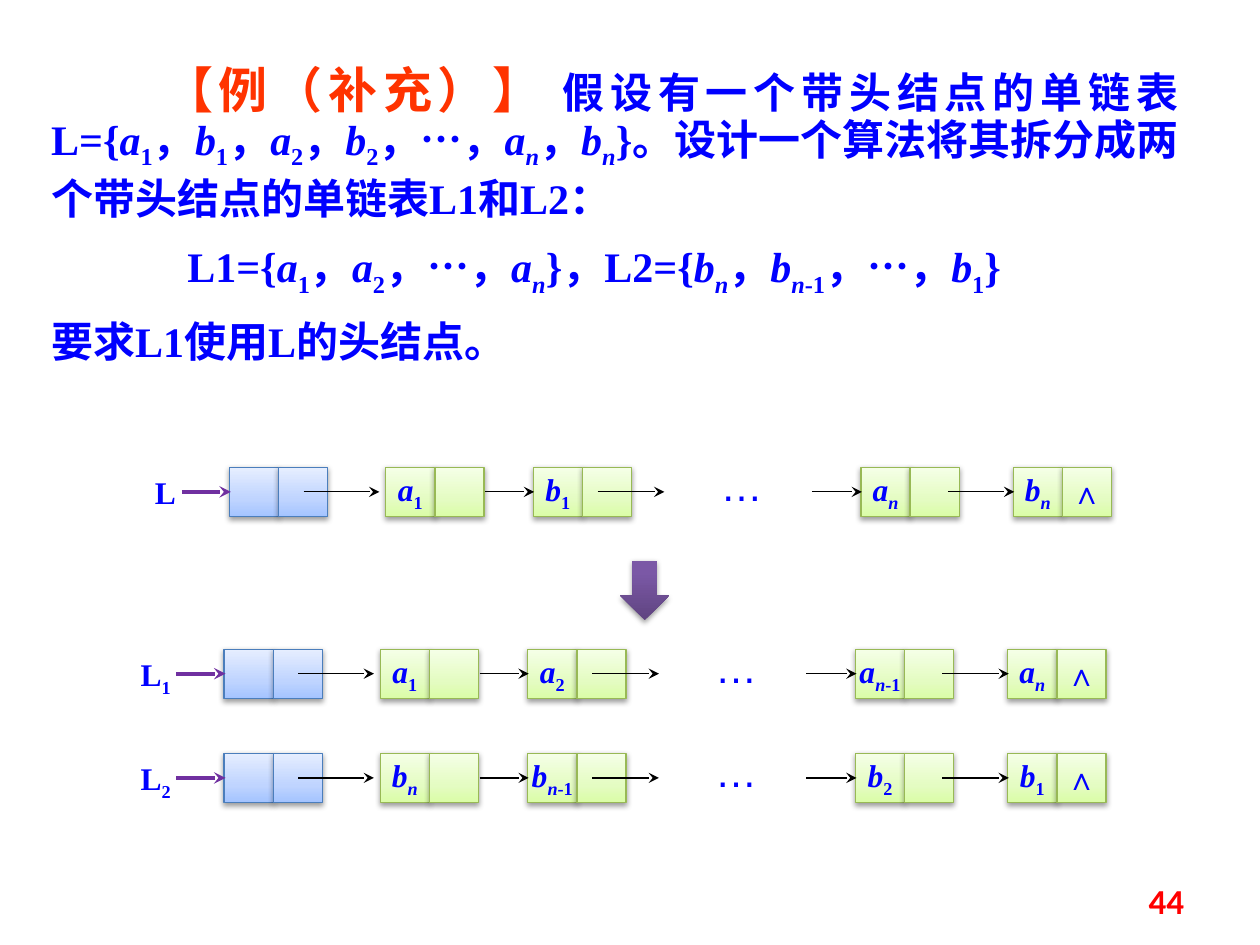
import lxml.etree
import pptx
import pptx.dml.color
import pptx.enum.shapes
import pptx.enum.text
import pptx.oxml.ns
import pptx.util

SHAPE = pptx.enum.shapes.MSO_SHAPE
ALIGN = pptx.enum.text.PP_ALIGN
ANCHOR = pptx.enum.text.MSO_ANCHOR
qn = pptx.oxml.ns.qn

THEME = {
    "serif": "Times New Roman", "cjk": "Noto Sans CJK SC",
    "sans": "Arial", "number": "Calibri",
    "title_size": 28, "body_size": 24, "node_size": 18, "number_size": 20,
    "title": "FF3300", "text": "0000FF", "page": "FF0000",
    "pointer": "7030A0", "link": "000000",
    "head": {"stops": [(0, "A4C4FF"), (35, "BFD4FF"), (100, "E6EEFF")], "line": "4B7EBC"},
    "data": {"stops": [(0, "DAFDA7"), (35, "E4FCC2"), (100, "F5FFE7")], "line": "98B955"},
    "step": {"stops": [(0, "5F4480"), (80, "7B58A6"), (100, "7C57A8")], "line": None},
}
UNIT = 0.39  # one grid unit is the side of a list cell, in inches

# Columns, counted from the left edge of a list's head node
NODE_COLS = (3.18, 6.18, 12.85, 15.95)
LINK_COLS = ((1.51, 3.05), (5.2, 6.2), (7.49, 8.85), (11.85, 12.87), (14.62, 15.97))
POINTER_COLS = (-0.97, 0.03)
DOTS_COL = 9.74

# Each list: left column, top row, label, label column, node contents
LISTS = (
    (4.67, 9.51, "L", -1.77, "a1 b1 an bn"),
    (4.56, 13.21, "L1", -1.95, "a1 a2 an-1 an"),
    (4.56, 15.33, "L2", -1.95, "bn bn-1 b2 b1"),
)


def grid(*units):
    return [pptx.util.Inches(u * UNIT) for u in units]


def rgb(value):
    return pptx.dml.color.RGBColor.from_string(value)


def variable(name, italic=True):
    """Runs for a letter with its subscript, such as an-1."""
    runs = [(name[0], {"italic": italic})]
    index = name[1:]
    if index.startswith("n"):
        runs.append(("n", {"italic": True, "sub": True}))
        index = index[1:]
    if index:
        runs.append((index, {"sub": True}))
    return runs


def sequence(names):
    """Runs for variables separated by full-width commas."""
    runs = []
    for name in names.split():
        if runs:
            runs.append(("，", {}))
        runs += [(name, {"name": THEME["cjk"]})] if name == "…" else variable(name)
    return runs


def add_runs(p, runs, **base):
    for text, extra in runs:
        style = {"name": THEME["serif"], "size": THEME["node_size"], "bold": True,
                 "color": THEME["text"], **base, **extra}
        color, sub, ea = (style.pop(k, None) for k in ("color", "sub", "ea"))
        style["size"] = pptx.util.Pt(style["size"])
        r = p.add_run()
        r.text = text
        for key, value in style.items():
            setattr(r.font, key, value)
        r.font.color.rgb = rgb(color)
        rpr = r._r.get_or_add_rPr()
        if sub:
            rpr.set("baseline", "-25000")
        if ea:
            lxml.etree.SubElement(rpr, qn("a:ea"), typeface=ea)


def add_text(slide, box, runs, align=ALIGN.LEFT, anchor=ANCHOR.TOP, **base):
    tf = slide.shapes.add_textbox(*grid(*box)).text_frame
    tf.word_wrap = True
    tf.vertical_anchor = anchor
    tf.paragraphs[0].alignment = align
    add_runs(tf.paragraphs[0], runs, **base)
    return tf


def add_block(slide, kind, box, look, runs=()):
    """A shape with a vertical gradient and a soft shadow below."""
    s = slide.shapes.add_shape(kind, *grid(*box))
    s.shadow.inherit = False
    s.fill.gradient()
    s.fill.gradient_angle = 90
    sppr = s._element.spPr
    stops = sppr.find(".//" + qn("a:gsLst"))
    for stop in list(stops):
        stops.remove(stop)
    for position, color in look["stops"]:
        stop = lxml.etree.SubElement(stops, qn("a:gs"), pos=str(position * 1000))
        lxml.etree.SubElement(stop, qn("a:srgbClr"), val=color)
    if look["line"]:
        s.line.color.rgb = rgb(look["line"])
        s.line.width = pptx.util.Pt(0.75)
    else:
        s.line.fill.background()
    shadow = lxml.etree.SubElement(
        sppr.find(qn("a:effectLst")), qn("a:outerShdw"), blurRad="40000",
        dist="20000", dir="5400000", rotWithShape="0")
    color = lxml.etree.SubElement(shadow, qn("a:srgbClr"), val="000000")
    lxml.etree.SubElement(color, qn("a:alpha"), val="38000")
    if runs:
        tf = s.text_frame
        tf.word_wrap = False
        tf.vertical_anchor = ANCHOR.MIDDLE
        tf.paragraphs[0].alignment = ALIGN.CENTER
        add_runs(tf.paragraphs[0], runs)


def add_arrow(slide, start, end, row, color, width):
    c = slide.shapes.add_connector(pptx.enum.shapes.MSO_CONNECTOR.STRAIGHT,
                                   *grid(start, row, end, row))
    c.line.color.rgb = rgb(color)
    c.line.width = pptx.util.Pt(width)
    lxml.etree.SubElement(c.line._get_or_add_ln(), qn("a:tailEnd"), type="stealth")
    lxml.etree.SubElement(c._element.spPr, qn("a:effectLst"))


def add_node(slide, col, row, look, first=(), second=()):
    for i, runs in enumerate((first, second)):
        add_block(slide, SHAPE.RECTANGLE, (col + i, row, 1, 1), look, runs)


def add_list(slide, col, row, label, label_col, names):
    add_text(slide, (col + label_col, row, 1.56, 1.03), variable(label, italic=False))
    add_node(slide, col, row, THEME["head"])
    names = names.split()
    for i, (offset, name) in enumerate(zip(NODE_COLS, names), start=1):
        end = [("∧", {})] if i == len(names) else ()
        add_node(slide, col + offset, row, THEME["data"], variable(name), end)
    add_text(slide, (col + DOTS_COL, row - 0.28, 2.03, 1.28), [("…", {})],
             name=THEME["sans"], size=THEME["body_size"], bold=False)
    # Pointers are drawn over the cells
    middle = row + 0.5
    add_arrow(slide, *(col + c for c in POINTER_COLS), middle, THEME["pointer"], 2.25)
    for start, end in LINK_COLS:
        add_arrow(slide, col + start, col + end, middle, THEME["link"], 0.75)


def add_problem(slide):
    title = {"size": THEME["title_size"], "color": THEME["title"]}
    bracket = {**title, "name": THEME["cjk"]}
    body = {"size": THEME["body_size"], "ea": THEME["cjk"]}
    opening = [("【", bracket), ("例（补充）", title), ("】", bracket),
               (" 假设有一个带头结点的单链表L={", {}),
               *sequence("a1 b1 a2 b2 … an bn"),
               ("}。设计一个算法将其拆分成两个带头结点的单链表L1和L2：", {})]
    result = [("L1={", {}), *sequence("a1 a2 … an"), ("}，L2={", {}),
              *sequence("bn bn-1 … b1"), ("}", {})]
    tf = add_text(slide, (0.79, 1.21, 23.44, 6.59), opening, ALIGN.JUSTIFY, **body)
    tf.paragraphs[0].line_spacing = pptx.util.Pt(30)
    for runs in (result, [("要求L1使用L的头结点。", {})]):
        p = tf.add_paragraph()
        p.alignment = ALIGN.JUSTIFY
        p.space_before = pptx.util.Pt(10)
        add_runs(p, runs, **body)
    # First-line indents of the opening and of the result
    for p, indent in zip(tf.paragraphs, (2.3, 2.77)):
        p._p.get_or_add_pPr().set("indent", str(grid(indent)[0]))


def main():
    prs = pptx.Presentation()
    prs.slide_width, prs.slide_height = pptx.util.Inches(10), pptx.util.Inches(7.5)
    slide = prs.slides.add_slide(prs.slide_layouts[6])
    # Problem statement
    add_problem(slide)
    # Source list, step arrow and the two resulting lists
    for item in LISTS:
        add_list(slide, *item)
    add_block(slide, SHAPE.DOWN_ARROW, (12.62, 11.41, 1, 1.21), THEME["step"])
    # Page number
    add_text(slide, (18.38, 17.82, 5.97, 1.03), [("44", {})], ALIGN.RIGHT, ANCHOR.MIDDLE,
             name=THEME["number"], size=THEME["number_size"], color=THEME["page"])
    prs.save("out.pptx")


if __name__ == "__main__":
    main()
